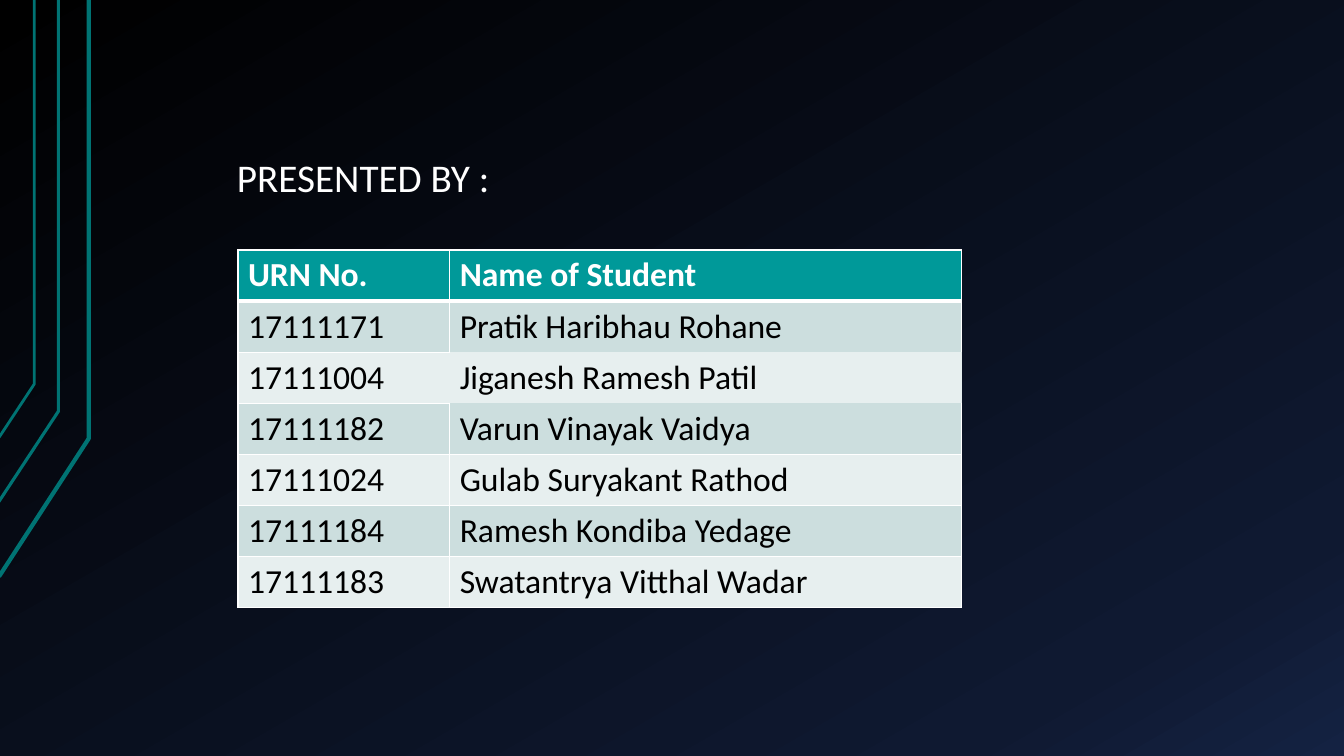
from copy import deepcopy

from lxml import etree
from pptx import Presentation
from pptx.dml.color import RGBColor
from pptx.enum.text import MSO_ANCHOR, PP_ALIGN
from pptx.oxml.ns import qn
from pptx.util import Inches, Pt

LEFT = PP_ALIGN.LEFT
TOP = MSO_ANCHOR.TOP
TITLE_ONLY = 5
WHITE = RGBColor(0xFF, 0xFF, 0xFF)
BLACK = RGBColor(0x00, 0x00, 0x00)
NAVY = RGBColor(0x0F, 0x19, 0x31)
BLUE = RGBColor(0x14, 0x22, 0x42)
TEAL = RGBColor(0x00, 0x99, 0x99)
DARK_TEAL = RGBColor(0x00, 0x73, 0x73)
BAND_DARK = RGBColor(0xCC, 0xDE, 0xDE)
BAND_LIGHT = RGBColor(0xE7, 0xEF, 0xEF)

STUDENTS = [
    ("URN No.", "Name of Student"),
    ("17111171", "Pratik Haribhau Rohane"),
    ("17111004", "Jiganesh Ramesh Patil"),
    ("17111182", "Varun Vinayak Vaidya"),
    ("17111024", "Gulab Suryakant Rathod"),
    ("17111184", "Ramesh Kondiba Yedage"),
    ("17111183", "Swatantrya Vitthal Wadar"),
]
OPEN_SIDES = {(1, 1): "B", (2, 0): "R", (2, 1): "LRTB", (3, 1): "T"}
TRACES = [
    ([(-0.01, 5.72), (0.88, 4.35), (0.88, 0)], 3),
    ([(-0.02, 4.99), (0.58, 4.08), (0.58, 0)], 2.25),
    ([(-0.01, 4.34), (0.34, 3.81), (0.34, 0)], 2),
]


class SlideBuilder:
    """Hold the font and the current slide, and add styled elements to it."""

    def __init__(self, presentation, font_name):
        self.slide = presentation.slides.add_slide(presentation.slide_layouts[TITLE_ONLY])
        self.font_name = font_name

    def background(self, stops, angle):
        fill = self.slide.background.fill
        fill.gradient()
        fill.gradient_angle = 360 - angle
        stop_list = self.slide.element.find(".//" + qn("a:gsLst"))
        stop_list.append(deepcopy(stop_list[-1]))
        for stop, (position, color) in zip(fill.gradient_stops, stops):
            stop.position = position
            stop.color.rgb = color

    def format_text(self, text_frame, size, color, bold=False):
        for paragraph in text_frame.paragraphs:
            paragraph.alignment = LEFT
            for run in paragraph.runs:
                run.font.name = self.font_name
                run.font.size = Pt(size)
                run.font.bold = bold
                run.font.color.rgb = color

    def title(self, text, left, top, width, height):
        shape = self.slide.shapes.title
        shape.left, shape.top = Inches(left), Inches(top)
        shape.width, shape.height = Inches(width), Inches(height)
        shape.text_frame.text = text
        shape.text_frame.word_wrap = True
        shape.text_frame.vertical_anchor = TOP
        self.format_text(shape.text_frame, 28, WHITE)

    def trace(self, points, width):
        corners = [(Inches(x), Inches(y)) for x, y in points]
        builder = self.slide.shapes.build_freeform(*corners[0])
        builder.add_line_segments(corners[1:], close=False)
        shape = builder.convert_to_shape()
        shape.shadow.inherit = False
        shape.fill.background()
        shape.line.color.rgb = DARK_TEAL
        shape.line.width = Pt(width)

    def border(self, cell, side, width):
        properties = cell._tc.get_or_add_tcPr()
        line = etree.SubElement(properties, qn("a:ln" + side), w=str(Pt(width)))
        if width:
            fill = etree.SubElement(line, qn("a:solidFill"))
            etree.SubElement(fill, qn("a:srgbClr"), val=str(WHITE))
        else:
            etree.SubElement(line, qn("a:noFill"))

    def table(self, rows, left, top, column_widths, row_height):
        frame = self.slide.shapes.add_table(
            len(rows), len(column_widths), Inches(left), Inches(top),
            Inches(sum(column_widths)), Inches(row_height * len(rows)))
        table = frame.table
        for column, width in zip(table.columns, column_widths):
            column.width = Inches(width)
        for row_index, row in enumerate(rows):
            table.rows[row_index].height = Inches(row_height)
            header = row_index == 0
            band = BAND_DARK if row_index % 2 else BAND_LIGHT
            for column_index, text in enumerate(row):
                cell = table.cell(row_index, column_index)
                cell.text_frame.text = text
                self.format_text(cell.text_frame, 24, WHITE if header else BLACK, header)
                for side in "LRTB":
                    if side in OPEN_SIDES.get((row_index, column_index), ""):
                        width = 0
                    elif (row_index, side) in ((0, "B"), (1, "T")):
                        width = 3
                    else:
                        width = 1
                    self.border(cell, side, width)
                cell.fill.solid()
                cell.fill.fore_color.rgb = TEAL if header else band


def main():
    presentation = Presentation()
    presentation.slide_width = Inches(13.33)
    presentation.slide_height = Inches(7.5)
    builder = SlideBuilder(presentation, "Calibri")
    builder.background([(0, BLACK), (0.85, NAVY), (1, BLUE)], 60)
    for points, width in TRACES:
        builder.trace(points, width)
    builder.table(STUDENTS, 2.36, 2.48, (2.1, 5.08), 0.5)
    builder.title("PRESENTED BY :", 2.25, 1.47, 4.41, 0.57)
    presentation.save("out.pptx")


if __name__ == "__main__":
    main()
